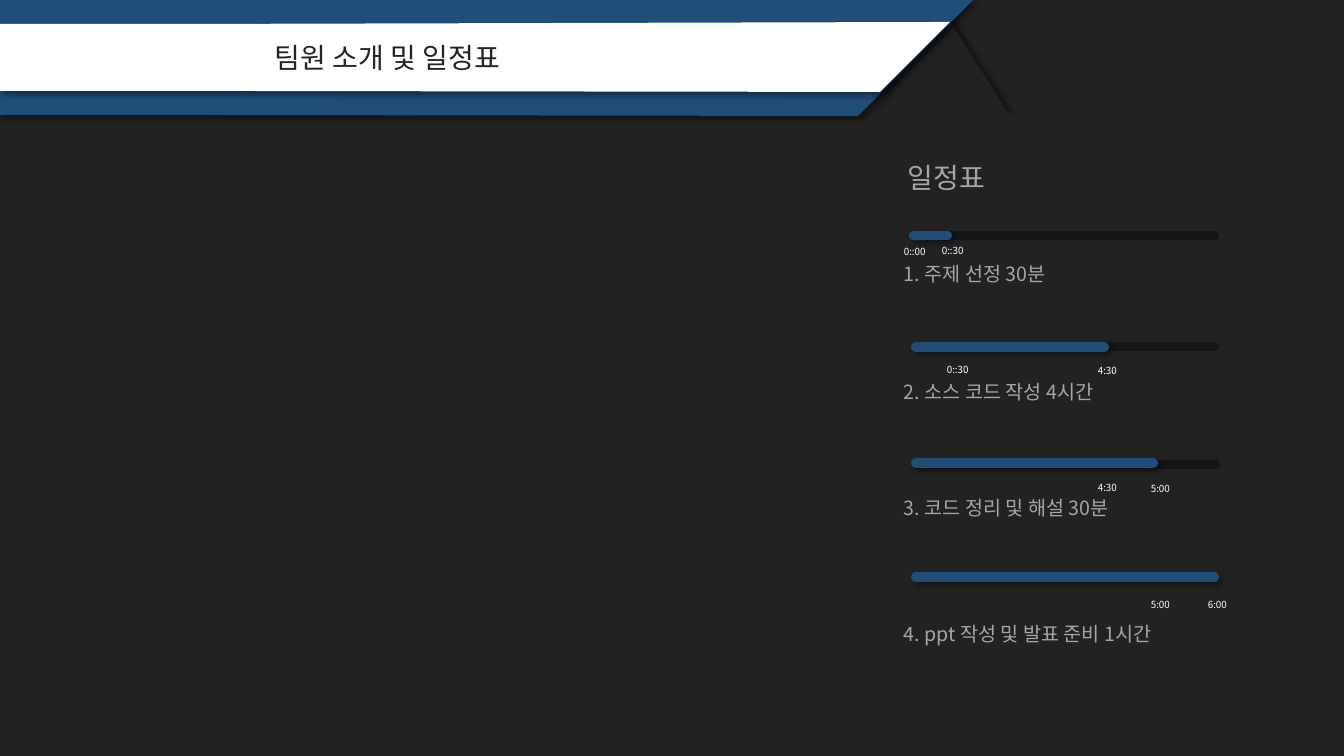
"""Build the schedule slide: a slanted title banner and four progress bars."""
from lxml import etree
from pptx import Presentation
from pptx.dml.color import RGBColor
from pptx.enum.shapes import MSO_SHAPE
from pptx.enum.text import MSO_AUTO_SIZE
from pptx.oxml.ns import qn
from pptx.util import Emu, Pt

TRIANGLE = MSO_SHAPE.ISOSCELES_TRIANGLE
PILL = MSO_SHAPE.ROUNDED_RECTANGLE
GROW = MSO_AUTO_SIZE.SHAPE_TO_FIT_TEXT
FONT = "Noto Sans CJK KR"
DARK, TRACK, BLUE, WHITE, GREY = "222222", "151515", "1F4E79", "FFFFFF", "A6A6A6"
PX = 914400 / 100.8

TITLE = "팀원 소개 및 일정표"
HEADING = "일정표"
BANNER = [(0, 0), (973, 0), (858, 116), (204, 115), (0, 115)]
BAND = [(0, 24), (203, 24), (950, 22), (880, 92), (203, 91), (0, 91)]
STEPS = [
    {"name": "1. 주제 선정 30분", "top": 257,
     "track": (911, 231, 308, 9), "progress": (909, 231, 43, 9),
     "times": [("0::00", 894, 241), ("0::30", 932, 240)]},
    {"name": "2. 소스 코드 작성 4시간", "top": 375,
     "track": (911, 342, 308, 9), "progress": (911, 342, 198, 10),
     "times": [("0::30", 937, 359), ("4:30", 1088, 360)]},
    {"name": "3. 코드 정리 및 해설 30분", "top": 491,
     "track": (912, 460, 308, 9), "progress": (911, 458, 247, 10),
     "times": [("4:30", 1088, 477), ("5:00", 1141, 478)]},
    {"name": "4. ppt 작성 및 발표 준비 1시간", "top": 617,
     "track": (911, 573, 308, 8), "progress": (911, 572, 308, 10),
     "times": [("5:00", 1141, 594), ("6:00", 1198, 594)]},
]


def emu(*lengths):
    return [Emu(round(length * PX)) for length in lengths]


def paint(part, color, shadow_angle=None):
    part.fill.solid()
    part.fill.fore_color.rgb = RGBColor.from_string(color)
    part.line.fill.background()
    part.shadow.inherit = False
    if shadow_angle is not None:
        effects = part._element.spPr.find(qn("a:effectLst"))
        shadow = etree.SubElement(
            effects, qn("a:outerShdw"), blurRad=str(Pt(4)), dist=str(Pt(3)),
            dir=str(shadow_angle * 60000), algn="ctr", rotWithShape="0")
        black = etree.SubElement(shadow, qn("a:srgbClr"), val="000000")
        etree.SubElement(black, qn("a:alpha"), val="40000")


def add_outline(points):
    builder = slide.shapes.build_freeform(*points[0], scale=PX)
    builder.add_line_segments(points[1:], close=True)
    return builder.convert_to_shape()


def add_pill(place, color, shadow_angle=None):
    pill = slide.shapes.add_shape(PILL, *emu(*place))
    pill.adjustments[0] = 0.49
    paint(pill, color, shadow_angle)


def add_text(words, place, size, color, wrap=True):
    frame = slide.shapes.add_textbox(*emu(*place)).text_frame
    for name, value in {"word_wrap": wrap, "auto_size": GROW}.items():
        setattr(frame, name, value)
    run = frame.paragraphs[0].add_run()
    run.text = words
    for name, value in {"size": Pt(size), "name": FONT}.items():
        setattr(run.font, name, value)
    run.font.color.rgb = RGBColor.from_string(color)
    etree.SubElement(run._r.get_or_add_rPr(), qn("a:ea"), typeface=FONT)


deck = Presentation()
deck.slide_width, deck.slide_height = emu(1344, 756)
slide = deck.slides.add_slide(deck.slide_layouts[6])
slide.background.fill.solid()
slide.background.fill.fore_color.rgb = RGBColor.from_string(DARK)

fold = slide.shapes.add_shape(TRIANGLE, *emu(877, 11, 133, 105))
paint(fold, DARK, 315)
paint(add_outline(BANNER), BLUE, 45)
paint(add_outline(BAND), WHITE, 45)
add_text(TITLE, (265, 36, 271, 44), 20, DARK, wrap=False)

add_text(HEADING, (898, 156, 218, 44), 20, GREY)
for step in STEPS:
    add_pill(step["track"], TRACK)
    add_pill(step["progress"], BLUE, 45)
    for time, left, top in step["times"]:
        add_text(time, (left, top, 50, 22), 7, WHITE)
    add_text(step["name"], (894, step["top"], 316, 34), 14, GREY)

deck.save("out.pptx")
